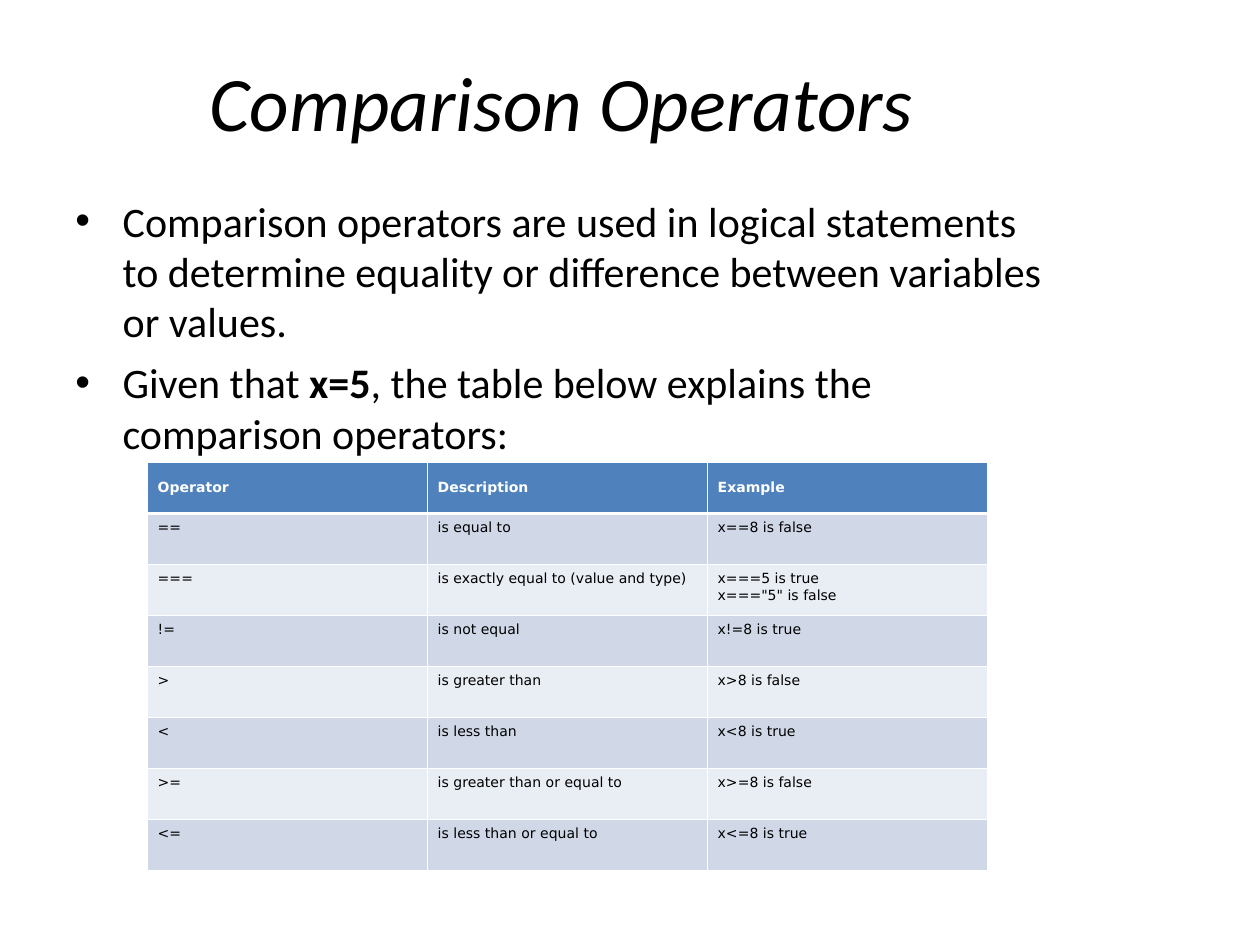
from copy import deepcopy

from lxml import etree
from pptx import Presentation
from pptx import util as u
from pptx.dml import color
from pptx.enum import text
from pptx.oxml import ns

COLORS = {"ink": "000000", "white": "FFFFFF", "header": "4F81BD",
          "band_dark": "D0D8E8", "band_light": "E9EDF4"}

BULLETS = [
    [("Comparison operators are used in logical statements to determine "
      "equality or difference between variables or values.", False)],
    [("Given that ", False), ("x=5", True),
     (", the table below explains the comparison operators:", False)],
]

ROWS = [
    ("Operator", "Description", "Example"),
    ("==", "is equal to", "x==8 is false"),
    ("===", "is exactly equal to (value and type)",
     'x===5 is true\nx==="5" is false'),
    ("!=", "is not equal", "x!=8 is true"),
    (">", "is greater than", "x>8 is false"),
    ("<", "is less than", "x<8 is true"),
    (">=", "is greater than or equal to", "x>=8 is false"),
    ("<=", "is less than or equal to", "x<=8 is true"),
]


def rgb(name):
    return color.RGBColor.from_string(COLORS[name])


def write(paragraph, content, size, font="Calibri", ink="ink",
          bold=False, italic=False):
    for index, line in enumerate(content.split("\n")):
        if index:
            paragraph.add_line_break()
        run = paragraph.add_run()
        run.text = line
        run.font.size = u.Pt(size)
        run.font.name = font
        run.font.bold = bold
        run.font.italic = italic
        run.font.color.rgb = rgb(ink)
    for line_break in paragraph._p.findall(ns.qn("a:br")):
        line_break.append(deepcopy(run._r.rPr))


def add_text_frame(slide, left, top, width, height, anchor):
    shape = slide.shapes.add_textbox(u.Pt(left), u.Pt(top),
                                     u.Pt(width), u.Pt(height))
    frame = shape.text_frame
    frame.word_wrap = True
    frame.vertical_anchor = anchor
    return frame


def add_title(slide):
    frame = add_text_frame(slide, 36, 25.2, 570, 64.8, text.MSO_ANCHOR.MIDDLE)
    paragraph = frame.paragraphs[0]
    paragraph.alignment = text.PP_ALIGN.CENTER
    write(paragraph, "Comparison Operators", 44, italic=True)


def set_bullet(paragraph, indent):
    properties = paragraph._p.get_or_add_pPr()
    properties.set("marL", str(u.Pt(indent)))
    properties.set("indent", str(u.Pt(-indent)))
    font = etree.SubElement(properties, ns.qn("a:buFont"))
    font.set("typeface", "Arial")
    bullet = etree.SubElement(properties, ns.qn("a:buChar"))
    bullet.set("char", "•")


def add_bullets(slide):
    frame = add_text_frame(slide, 36, 108, 570, 381.6, text.MSO_ANCHOR.TOP)
    for index, parts in enumerate(BULLETS):
        paragraph = frame.add_paragraph() if index else frame.paragraphs[0]
        set_bullet(paragraph, 27)
        if index:
            paragraph.space_before = u.Pt(6)
        for content, bold in parts:
            write(paragraph, content, 24, bold=bold)


def set_border(cell, side, width):
    properties = cell._tc.get_or_add_tcPr()
    line = etree.SubElement(properties, ns.qn("a:ln" + side))
    line.set("w", str(u.Pt(width)))
    fill = etree.SubElement(line, ns.qn("a:solidFill"))
    etree.SubElement(fill, ns.qn("a:srgbClr")).set("val", COLORS["white"])


def format_cell(cell, content, row):
    header = row == 0
    cell.margin_left = cell.margin_right = u.Pt(5.9)
    cell.margin_top = cell.margin_bottom = u.Pt(3.6)
    cell.vertical_anchor = (text.MSO_ANCHOR.MIDDLE if header
                            else text.MSO_ANCHOR.TOP)
    thick_side = {0: "B", 1: "T"}.get(row)
    for side in "LRTB":
        set_border(cell, side, 1.47 if side == thick_side else 0.45)
    band = "band_dark" if row % 2 else "band_light"
    cell.fill.solid()
    cell.fill.fore_color.rgb = rgb("header" if header else band)
    write(cell.text_frame.paragraphs[0], content, 8, font="DejaVu Sans",
          ink="white" if header else "ink", bold=header)


def add_operator_table(slide):
    frame = slide.shapes.add_table(len(ROWS), len(ROWS[0]), u.Pt(84.24),
                                   u.Pt(264.24), u.Pt(480), u.Pt(233.28))
    table = frame.table
    table.horz_banding = False
    for row, contents in enumerate(ROWS):
        for column, content in enumerate(contents):
            format_cell(table.cell(row, column), content, row)


def main():
    presentation = Presentation()
    presentation.slide_width = u.Pt(720)
    presentation.slide_height = u.Pt(540)
    slide = presentation.slides.add_slide(presentation.slide_layouts[6])
    add_title(slide)
    add_bullets(slide)
    add_operator_table(slide)
    presentation.save("out.pptx")


if __name__ == "__main__":
    main()
